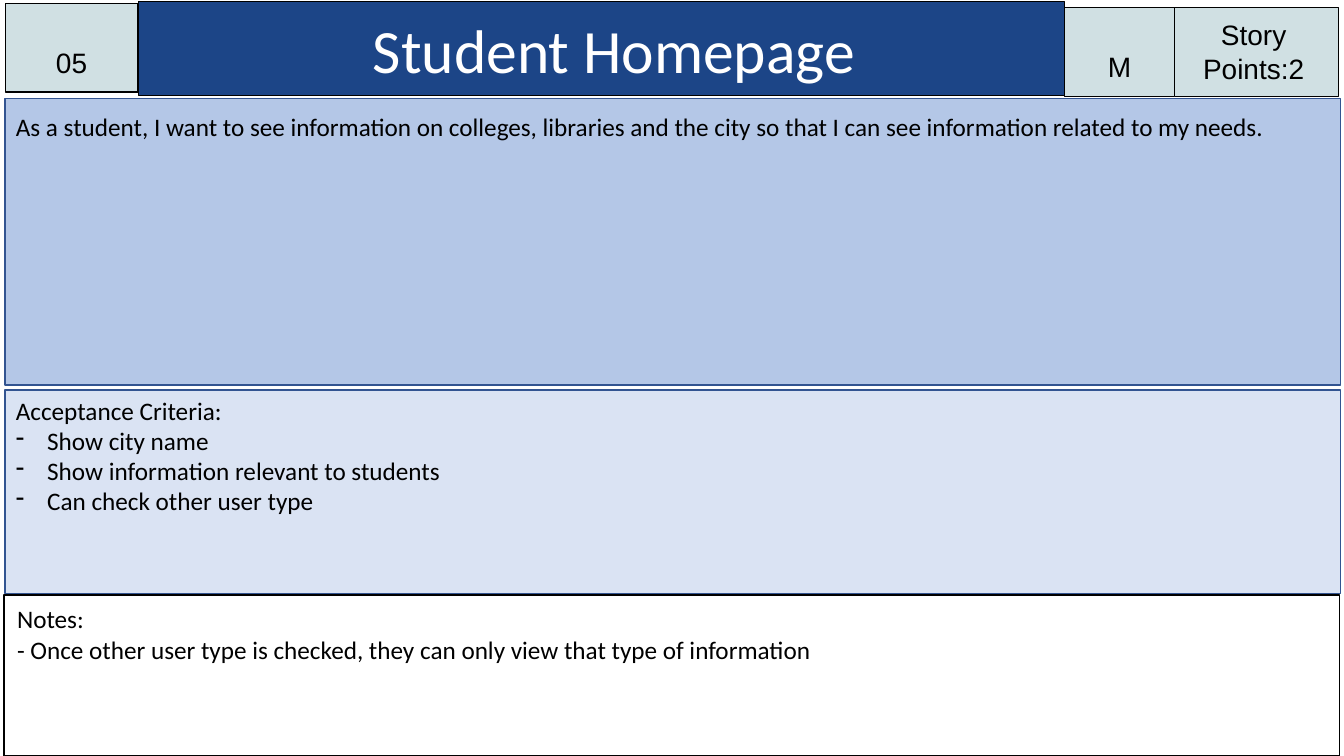
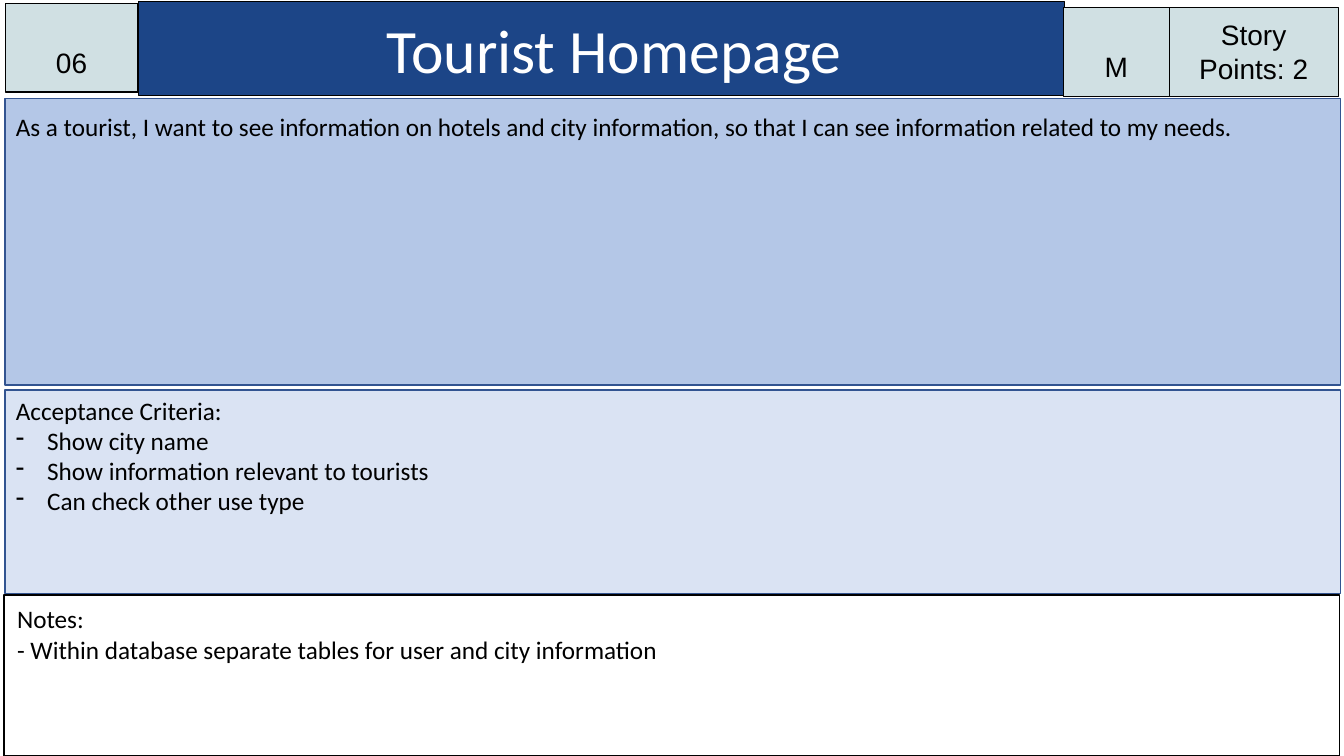
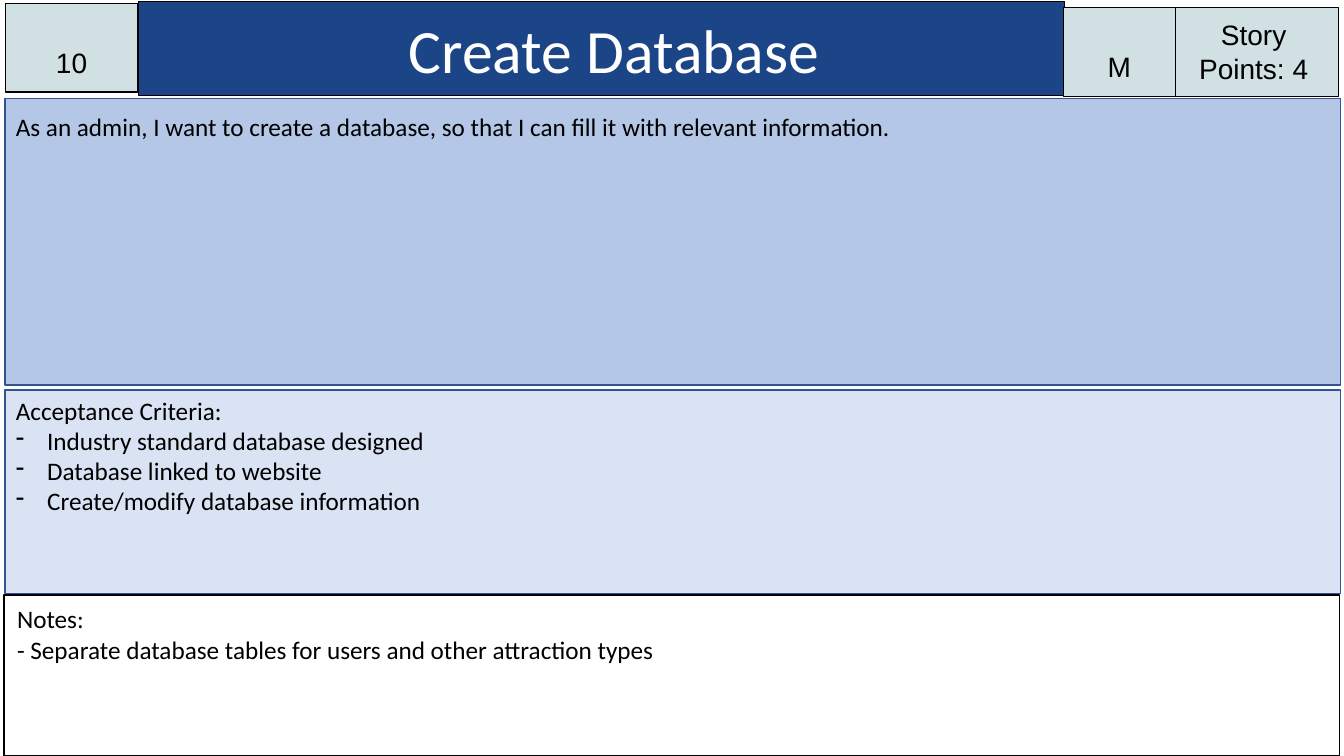
from dataclasses import dataclass

from lxml.etree import SubElement
from pptx import Presentation
from pptx.dml.color import RGBColor
from pptx.enum.shapes import MSO_SHAPE
from pptx.enum.text import MSO_ANCHOR, PP_ALIGN
from pptx.oxml.ns import qn
from pptx.util import Cm, Pt


@dataclass(frozen=True)
class Theme:
    """Colours, fonts and type sizes shared by every card."""
    navy: str = "1C4587"
    badge: str = "D0E0E3"
    story: str = "B4C7E7"
    criteria: str = "DAE3F3"
    edge: str = "325491"
    black: str = "000000"
    white: str = "FFFFFF"
    body_font: str = "Calibri"
    badge_font: str = "Arial"
    title_size: int = 44
    badge_size: int = 20
    body_size: int = 18


@dataclass(frozen=True)
class Story:
    """The wording of one user story card."""
    number: str
    title: str
    points: str
    want: str
    criteria: tuple
    note: str
    size_left: float = 26.8
    size_width: float = 2.82


class CardDeck:
    """Draws user story cards in one style."""

    def __init__(self, theme):
        """Start an empty widescreen deck."""
        self.theme = theme
        self.deck = Presentation()
        self.deck.slide_width, self.deck.slide_height = Cm(33.87), Cm(19.05)
        self.page = None

    def panel(self, left, top, width, height, fill, edge, weight):
        """Add an outlined rectangle."""
        box = self.page.shapes.add_shape(
            MSO_SHAPE.RECTANGLE, Cm(left), Cm(top), Cm(width), Cm(height))
        box.shadow.inherit = False
        box.fill.solid()
        box.fill.fore_color.rgb = RGBColor.from_string(fill)
        box.line.color.rgb = RGBColor.from_string(edge)
        box.line.width = Pt(weight)
        return box

    def style(self, para, font, size, color, align=PP_ALIGN.LEFT):
        """Set the look of one paragraph."""
        para.alignment = align
        para.font.name = font
        para.font.size = Pt(size)
        para.font.color.rgb = RGBColor.from_string(color)

    def indent(self, para, margin, first_line):
        """Set the left margin and first line indent."""
        props = para._p.get_or_add_pPr()
        props.set("marL", str(Cm(margin)))
        props.set("indent", str(Cm(first_line)))
        return props

    def header_cell(self, left, top, width, height, fill, text, font, size,
                    color, anchor=MSO_ANCHOR.TOP, inset_top=0.25):
        """Add a header rectangle with centred text."""
        box = self.panel(left, top, width, height, fill, self.theme.black, 0.75)
        frame = box.text_frame
        frame.word_wrap = True
        frame.vertical_anchor = anchor
        frame.margin_left = frame.margin_right = frame.margin_bottom = Cm(0.25)
        frame.margin_top = Cm(inset_top)
        para = frame.paragraphs[0]
        para.text = text
        self.style(para, font, size, color, PP_ALIGN.CENTER)
        return para

    def title(self, text):
        """Add the title band."""
        look = self.theme
        para = self.header_cell(3.5, 0.03, 23.32, 2.39, look.navy, text,
                                look.body_font, look.title_size, look.white,
                                MSO_ANCHOR.BOTTOM)
        self.indent(para, 0, 0.64)

    def badge(self, left, top, width, text, inset_top=1.06):
        """Add a pale header badge."""
        look = self.theme
        self.header_cell(left, top, width, 2.24, look.badge, text,
                         look.badge_font, look.badge_size, look.black,
                         inset_top=inset_top)

    def body(self, left, top, width, height, lines, bullets=()):
        """Add plain lines followed by dashed bullets."""
        look = self.theme
        frame = self.page.shapes.add_textbox(
            Cm(left), Cm(top), Cm(width), Cm(height)).text_frame
        frame.word_wrap = True
        for index, text in enumerate((*lines, *bullets)):
            para = frame.add_paragraph() if index else frame.paragraphs[0]
            para.text = text
            if index >= len(lines):
                props = self.indent(para, 0.79, -0.79)
                SubElement(props, qn("a:buFontTx"))
                SubElement(props, qn("a:buChar")).set("char", "-")
            self.style(para, look.body_font, look.body_size, look.black)

    def card(self, story):
        """Add a slide holding one user story."""
        look = self.theme
        self.page = self.deck.slides.add_slide(self.deck.slide_layouts[6])
        self.title(story.title)
        self.badge(29.46, 0.2, 4.27, story.points, inset_top=0.25)
        self.badge(story.size_left, 0.2, story.size_width, "M")
        self.badge(0.13, 0.08, 3.35, story.number)
        self.panel(0.13, 2.49, 33.66, 7.21, look.story, look.edge, 1)
        self.panel(0.13, 9.83, 33.66, 5.13, look.criteria, look.edge, 1)
        self.panel(0.1, 14.99, 33.66, 4.06, look.white, look.black, 1)
        self.body(0.15, 9.83, 33.6, 3.33, ["Acceptance Criteria:"], story.criteria)
        self.body(0.15, 2.69, 33.05, 1.02, [story.want])
        self.body(0.18, 15.09, 33.58, 1.8, ["Notes:", story.note])


STORIES = (
    Story("05", "Student Homepage", "Story Points:2",
          "As a student, I want to see information on colleges, libraries and "
          "the city so that I can see information related to my needs.",
          ("Show city name", "Show information relevant to students",
           "Can check other user type"),
          "- Once other user type is checked, they can only view that type of "
          "information", size_left=26.82, size_width=2.79),
    Story("06", "Tourist Homepage", "Story Points: 2",
          "As a tourist, I want to see information on hotels and city "
          "information, so that I can see information related to my needs.",
          ("Show city name", "Show information relevant to tourists",
           "Can check other use type"),
          "- Within database separate tables for user and city information",
          size_width=2.67),
    Story("10", "Create Database", "Story Points: 4",
          "As an admin, I want to create a database, so that I can fill it "
          "with relevant information.",
          ("Industry standard database designed", "Database linked to website",
           "Create/modify database information"),
          "- Separate database tables for users and other attraction types"),
)


def main():
    """Build and save the cards."""
    cards = CardDeck(Theme())
    for story in STORIES:
        cards.card(story)
    cards.deck.save("out.pptx")


if __name__ == "__main__":
    main()
